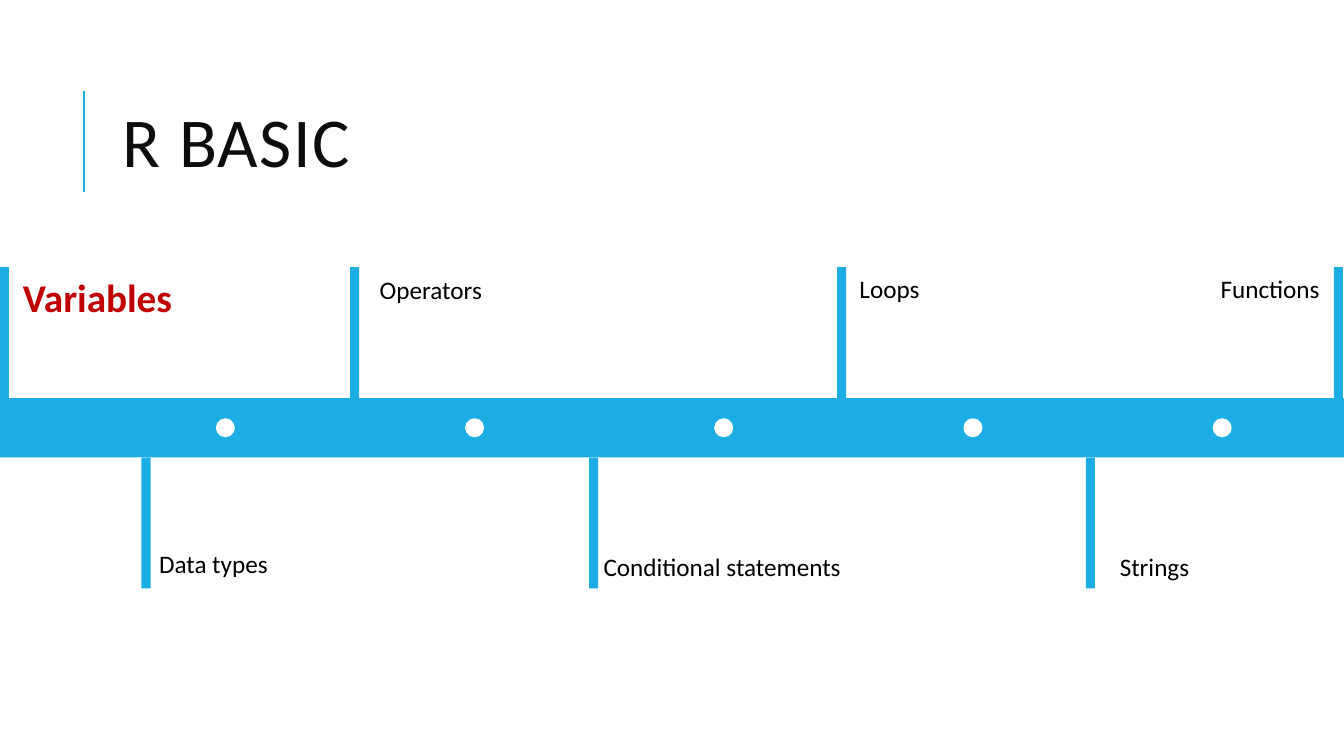
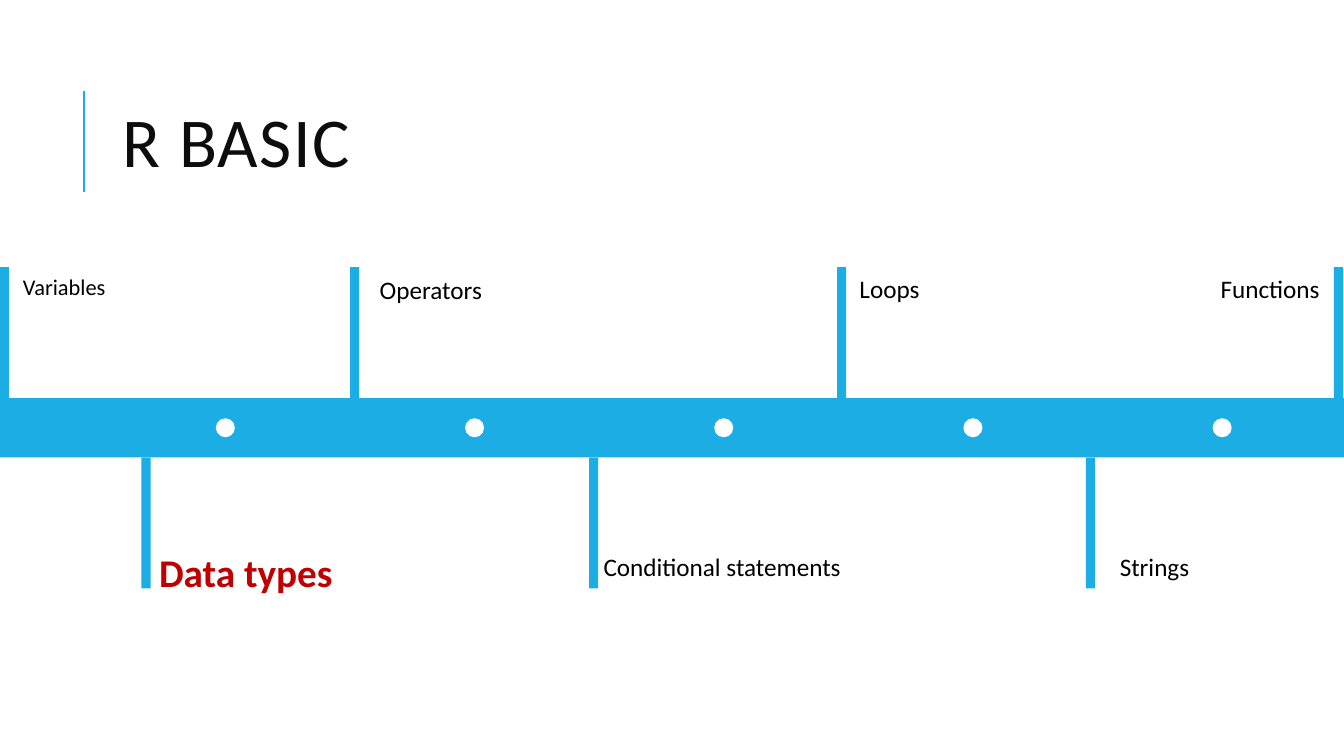
from dataclasses import dataclass

from lxml import etree
from pptx import Presentation
from pptx.dml.color import RGBColor
from pptx.enum.shapes import MSO_CONNECTOR, MSO_SHAPE
from pptx.enum.text import MSO_ANCHOR, MSO_AUTO_SIZE, PP_ALIGN
from pptx.oxml.ns import qn
from pptx.util import Cm, Pt

RECTANGLE, OVAL = MSO_SHAPE.RECTANGLE, MSO_SHAPE.OVAL
STRAIGHT = MSO_CONNECTOR.STRAIGHT
MIDDLE, LEFT = MSO_ANCHOR.MIDDLE, PP_ALIGN.LEFT
NO_AUTOFIT = MSO_AUTO_SIZE.NONE

COLORS = {
    "accent": "1CADE4",
    "dot": "FFFFFF",
    "title": "0D0D0D",
    "topic": "000000",
    "current": "C00000",
}
FONT = "Calibri"
SLIDE_WIDTH, SLIDE_HEIGHT = 33.87, 19.05
TITLE_BOX = (2.84, 1.63, 27.0, 4.17)
BAND_BOX = (0, 10.03, SLIDE_WIDTH, 1.5)
STEM_WIDTH, STEM_HEIGHT = 0.23, 3.3
DOT_SIZE, DOT_COUNT, FIRST_DOT, DOT_PITCH = 0.48, 5, 5.68, 6.28
CURRENT_SIZE = 28
TITLE_ONLY = 5


@dataclass
class Topic:
    """A timeline topic; lengths in cm, label_dy measured from the band top."""
    text: str
    stem_x: float
    above: bool
    label_x: float
    label_dy: float
    width: float
    size: int = 18


TOPICS = [
    Topic("Variables", 0.11, True, 0.33, -3.27, 2.77, 16),
    Topic("Data types", 3.68, False, 3.76, 3.66, 3.35),
    Topic("Operators", 8.94, True, 9.32, -3.25, 3.18),
    Topic("Conditional statements", 14.96, False, 14.96, 3.74, 6.91),
    Topic("Loops", 21.21, True, 21.41, -3.27, 2.13),
    Topic("Strings", 27.48, False, 27.97, 3.74, 2.44),
    Topic("Functions", 33.73, True, 30.51, -3.27, 3.23),
]


def rgb(key):
    """Return the named colour."""
    return RGBColor.from_string(COLORS[key])


def add_text(frame, text, size, color, bold=False):
    """Write one formatted run into the first paragraph and return it."""
    run = frame.paragraphs[0].add_run()
    run.text = text
    run.font.name = FONT
    run.font.size = Pt(size)
    run.font.bold = bold
    run.font.color.rgb = rgb(color)
    return run


def add_flat(slide, preset, box, color):
    """Add a filled shape without line or shadow."""
    flat = slide.shapes.add_shape(preset, *map(Cm, box))
    flat.shadow.inherit = False
    flat.fill.solid()
    flat.fill.fore_color.rgb = rgb(color)
    flat.line.fill.background()


def add_heading(slide, box, text):
    """Place the title in its box with the thin rule on its left."""
    left, top, width, height = box
    title = slide.shapes.title
    title.left, title.top, title.width, title.height = map(Cm, box)
    frame = title.text_frame
    frame.word_wrap = True
    frame.auto_size = NO_AUTOFIT
    frame.vertical_anchor = MIDDLE
    frame.paragraphs[0].alignment = LEFT
    frame.paragraphs[0].line_spacing = 0.8
    run = add_text(frame, text, 50, "title")
    run._r.get_or_add_rPr().set("spc", "100")

    rule_x, rule_top, rule_bottom = left - 0.72, top + 0.66, top + height - 0.97
    rule = slide.shapes.add_connector(
        STRAIGHT, *map(Cm, (rule_x, rule_bottom, rule_x, rule_top)))
    rule.line.color.rgb = rgb("accent")
    rule.line.width = Pt(1.5)
    etree.SubElement(rule._element.spPr, qn("a:effectLst"))


def add_topic(slide, band_top, band_height, topic, current):
    """Add a topic's stem and label, emphasised when it is current."""
    stem_top = band_top - STEM_HEIGHT if topic.above else band_top + band_height
    stem_left = topic.stem_x - STEM_WIDTH / 2
    add_flat(slide, RECTANGLE,
             (stem_left, stem_top, STEM_WIDTH, STEM_HEIGHT), "accent")

    size = CURRENT_SIZE if current else topic.size
    width = topic.width * 1.6 if current else topic.width
    height = 1.45 if current else 1.02
    label = slide.shapes.add_textbox(
        *map(Cm, (topic.label_x, band_top + topic.label_dy, width, height)))
    label.text_frame.word_wrap = True
    add_text(label.text_frame, topic.text, size,
             "current" if current else "topic", current)


def add_timeline(slide, box, current):
    """Draw the band with its dots and the topics around it."""
    left, top, width, height = box
    add_flat(slide, RECTANGLE, box, "accent")
    dot_top = top + (height - DOT_SIZE) / 2
    for index in range(DOT_COUNT):
        dot_left = left + FIRST_DOT + index * DOT_PITCH - DOT_SIZE / 2
        add_flat(slide, OVAL, (dot_left, dot_top, DOT_SIZE, DOT_SIZE), "dot")
    for topic in TOPICS:
        add_topic(slide, top, height, topic, topic.text == current)


def add_agenda_slide(deck, current):
    """Add an agenda slide that highlights the current topic."""
    slide = deck.slides.add_slide(deck.slide_layouts[TITLE_ONLY])
    add_heading(slide, TITLE_BOX, "R BASIC")
    add_timeline(slide, BAND_BOX, current)


def main():
    """Build and save the deck."""
    deck = Presentation()
    deck.slide_width, deck.slide_height = Cm(SLIDE_WIDTH), Cm(SLIDE_HEIGHT)
    for current in ("Variables", "Data types"):
        add_agenda_slide(deck, current)
    deck.save("out.pptx")


main()
